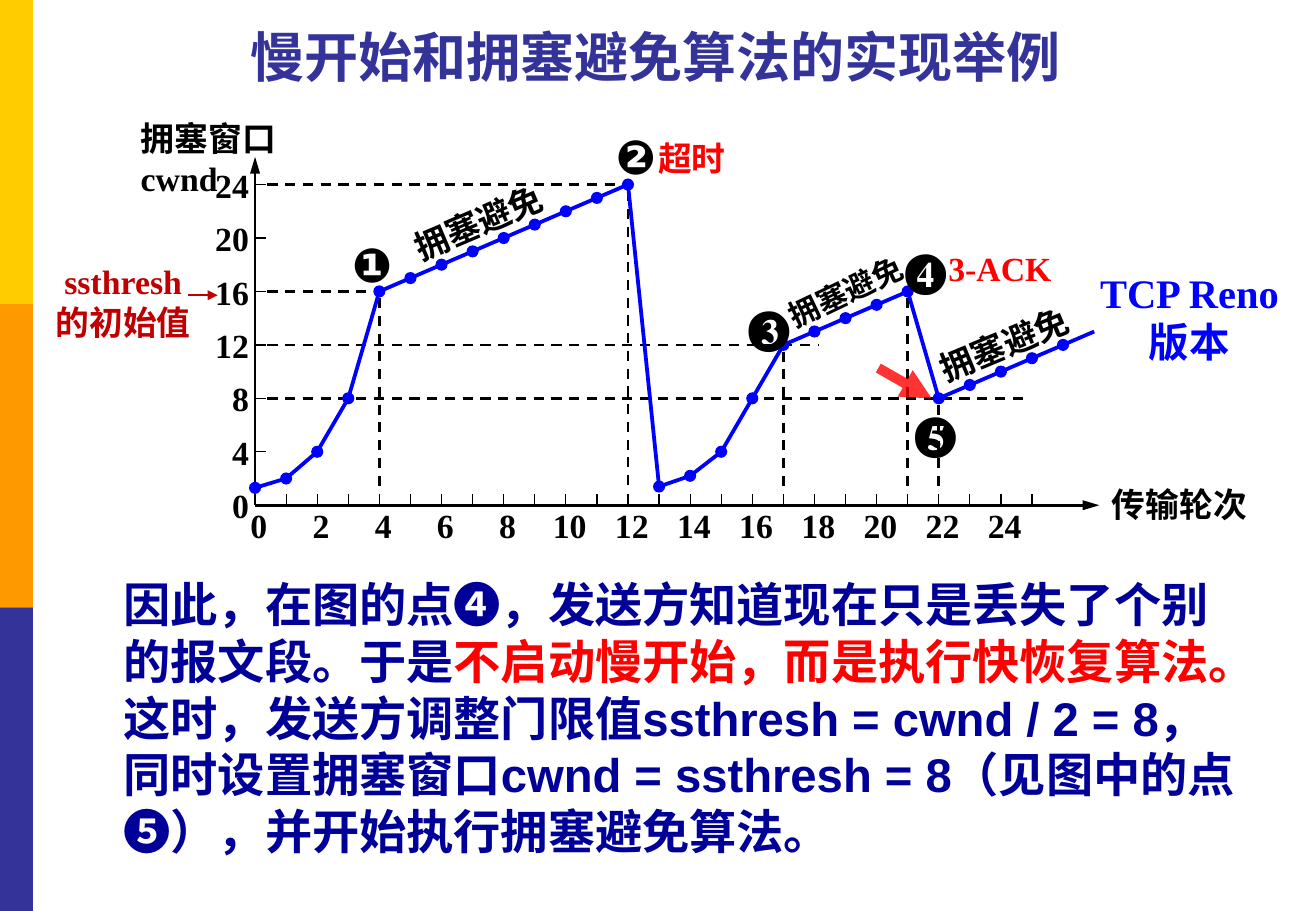
"""Build the slide on slow start and congestion avoidance with its cwnd diagram."""
from dataclasses import dataclass

import lxml.etree
import pptx
import pptx.dml.color
import pptx.enum.dml
import pptx.enum.shapes
import pptx.enum.text
import pptx.oxml.ns
import pptx.util

Pt = pptx.util.Pt
RGBColor = pptx.dml.color.RGBColor
ALIGN = pptx.enum.text.PP_ALIGN
SHAPE = pptx.enum.shapes.MSO_SHAPE
qn = pptx.oxml.ns.qn

BLACK = RGBColor(0x00, 0x00, 0x00)
RED = RGBColor(0xFF, 0x00, 0x00)
DARK_RED = RGBColor(0xC0, 0x00, 0x00)
BLUE = RGBColor(0x00, 0x00, 0xFF)
NAVY = RGBColor(0x00, 0x00, 0x99)
INDIGO = RGBColor(0x33, 0x33, 0x99)
YELLOW = RGBColor(0xFF, 0xCC, 0x00)
ORANGE = RGBColor(0xFF, 0x99, 0x00)
SERIF = "Times New Roman"
SANS = "Arial"

ORIGIN_X, ORIGIN_Y = 151.2, 299.5
ROUND_STEP, CWND_STEP = 18.42, 7.92
TICK, DOT = 6.5, 7.2
CWND = [1.3, 2, 4, 8, *range(16, 25), 1.4, 2.2, 4, 8, *range(12, 17), *range(8, 14)]
PHASES = [(0, 1, 2, 3, 4, 12), (12, 13), (13, 14, 15, 16, 17, 21), (21, 22), (22, 27)]
LEVEL_ENDS = {24: 12, 16: 4, 12: 18.1, 8: 24.8}
DROP_ROUNDS = (4, 12, 17, 21, 22)


@dataclass
class Label:
    lines: tuple[str, ...]
    left: float
    top: float
    width: float
    height: float = 32
    size: float = 20
    color: RGBColor = BLACK
    font: str = SERIF
    align: ALIGN = ALIGN.LEFT
    rotation: float = 0


@dataclass
class Stroke:
    start: tuple[float, float]
    end: tuple[float, float]
    color: RGBColor = BLACK
    width: float = 1.5
    dashed: bool = False
    head_length: str = ""
    opacity: int = 100


def plot(round_no: float, cwnd: float) -> tuple[float, float]:
    """Return the slide position of a point of the diagram."""
    return ORIGIN_X + round_no * ROUND_STEP, ORIGIN_Y - cwnd * CWND_STEP


def add_run(paragraph, text: str, size: float, color: RGBColor, font: str) -> None:
    """Append one bold run."""
    run = paragraph.add_run()
    run.text = text
    run.font.size, run.font.bold, run.font.name = Pt(size), True, font
    run.font.color.rgb = color


def draw_label(shapes, label: Label) -> None:
    """Draw a text box with one paragraph per line."""
    box = shapes.add_textbox(Pt(label.left), Pt(label.top), Pt(label.width), Pt(label.height))
    box.rotation = label.rotation
    frame = box.text_frame
    frame.word_wrap = False
    for index, line in enumerate(label.lines):
        paragraph = frame.add_paragraph() if index else frame.paragraphs[0]
        paragraph.alignment = label.align
        add_run(paragraph, line, label.size, label.color, label.font)


def draw_stroke(shapes, stroke: Stroke) -> None:
    """Draw a straight line, dashed or with an arrowhead if asked."""
    ends = [Pt(value) for value in (*stroke.start, *stroke.end)]
    connector = shapes.add_connector(pptx.enum.shapes.MSO_CONNECTOR.STRAIGHT, *ends)
    line = connector.line
    line.color.rgb, line.width = stroke.color, Pt(stroke.width)
    properties = connector.element.spPr
    if stroke.dashed:
        line.dash_style = pptx.enum.dml.MSO_LINE.DASH
    if stroke.opacity < 100:
        color = properties.find(".//" + qn("a:srgbClr"))
        lxml.etree.SubElement(color, qn("a:alpha"), val=str(stroke.opacity * 1000))
    if stroke.head_length:
        outline = properties.find(qn("a:ln"))
        lxml.etree.SubElement(outline, qn("a:tailEnd"), type="triangle", len=stroke.head_length)
    lxml.etree.SubElement(properties, qn("a:effectLst"))


def draw_curve(shapes, points: list[tuple[float, float]]) -> None:
    """Draw an open blue line through several points."""
    first, *rest = [(Pt(x), Pt(y)) for x, y in points]
    builder = shapes.build_freeform(*first)
    builder.add_line_segments(rest, close=False)
    curve = builder.convert_to_shape()
    curve.shadow.inherit = False
    curve.fill.background()
    curve.line.color.rgb, curve.line.width = BLUE, Pt(2.25)


def draw_solid(shapes, kind: SHAPE, left: float, top: float,
               width: float, height: float, color: RGBColor) -> None:
    """Draw a filled shape without an outline."""
    solid = shapes.add_shape(kind, Pt(left), Pt(top), Pt(width), Pt(height))
    solid.shadow.inherit = False
    solid.fill.solid()
    solid.fill.fore_color.rgb = color
    solid.line.fill.background()


def place(placeholder, left: float, top: float, width: float, height: float):
    """Move a placeholder and return its first paragraph."""
    placeholder.left, placeholder.top = Pt(left), Pt(top)
    placeholder.width, placeholder.height = Pt(width), Pt(height)
    placeholder.text_frame.auto_size = pptx.enum.text.MSO_AUTO_SIZE.NONE
    return placeholder.text_frame.paragraphs[0]


presentation = pptx.Presentation()
presentation.slide_width, presentation.slide_height = Pt(780), Pt(540)
slide = presentation.slides.add_slide(presentation.slide_layouts[1])
shapes = slide.shapes

for position, color in enumerate((YELLOW, ORANGE, INDIGO)):
    draw_solid(shapes, SHAPE.RECTANGLE, 0, position * 180, 19.5, 180, color)

title = place(shapes.title, 29, 12, 720, 42)
title.alignment = ALIGN.CENTER
add_run(title, "慢开始和拥塞避免算法的实现举例", 32, INDIGO, "Roboto")

explanation = place(slide.placeholders[1], 66, 337.5, 682, 177)
explanation.space_before = Pt(0)
indents = explanation._p.get_or_add_pPr()
indents.set("marL", "0")
indents.set("indent", "0")
lxml.etree.SubElement(indents, qn("a:buNone"))
for text, color in (
    ("因此，在图的点❹，发送方知道现在只是丢失了个别的报文段。于是", NAVY),
    ("不启动慢开始，而是执行快恢复算法。", RED),
    ("这时，发送方调整门限值ssthresh = cwnd / 2 = 8，同时设置拥塞窗口cwnd = ssthresh = 8"
     "（见图中的点❺），并开始执行拥塞避免算法。", NAVY),
):
    add_run(explanation, text, 28, color, SANS)

strokes = [
    Stroke(plot(0, 0), (651.6, ORIGIN_Y), head_length="lg"),
    Stroke(plot(0, 0), (ORIGIN_X, 93), head_length="lg"),
    Stroke((111.6, 175), (129, 175), DARK_RED, head_length="med"),
]
labels = []
for round_no in range(1, 26):
    x, y = plot(round_no, 0)
    strokes.append(Stroke((x, y), (x, y - TICK), width=0.75))
for round_no in range(0, 25, 2):
    x, _ = plot(round_no, 0)
    labels.append(Label((str(round_no),), x - 15, 295.5, 34.5, align=ALIGN.CENTER))
for cwnd in range(0, 25, 4):
    x, y = plot(0, cwnd)
    strokes.append(Stroke((x, y), (x + TICK, y), width=0.75))
    labels.append(Label((str(cwnd),), x - 31, y - 15.5, 34.5, align=ALIGN.RIGHT))
strokes += [Stroke(plot(0.4, cwnd), plot(end, cwnd), dashed=True)
            for cwnd, end in LEVEL_ENDS.items()]
strokes += [Stroke(plot(r, CWND[r] - 0.5), plot(r, 1), dashed=True) for r in DROP_ROUNDS]
for stroke in strokes:
    draw_stroke(shapes, stroke)

for phase in PHASES:
    points = [plot(r, CWND[r]) for r in phase]
    if len(points) == 2:
        draw_stroke(shapes, Stroke(*points, BLUE, 2.25))
    else:
        draw_curve(shapes, points)
for round_no, cwnd in enumerate(CWND[:-1]):
    x, y = plot(round_no, cwnd)
    draw_solid(shapes, SHAPE.OVAL, x - DOT / 2, y - DOT / 2, DOT, DOT, BLUE)

avoidance = ("拥塞避免",)
labels += [
    Label(("拥塞窗口", "cwnd"), 76.3, 66.2, 96, 57),
    Label(("传输轮次",), 652, 283, 96),
    Label(("超时",), 383, 77.8, 55, color=RED),
    Label(("3-ACK",), 555, 143.3, 80, color=RED),
    Label(("TCP Reno", "版本"), 640.5, 155.5, 129, 65.5, 24, BLUE, align=ALIGN.CENTER),
    Label(("ssthresh", "的初始值"), 22.5, 151.2, 101, 55.5, color=DARK_RED, align=ALIGN.CENTER),
    Label(avoidance, 235.4, 116, 96, align=ALIGN.CENTER, rotation=336.8),
    Label(avoidance, 457.2, 158.4, 88, 29, 18, align=ALIGN.CENTER, rotation=334.5),
    Label(avoidance, 547.2, 188.6, 96, align=ALIGN.CENTER, rotation=337.4),
    Label(("❶",), 201.6, 136, 35, 41, 28, font=SANS),
    Label(("❷",), 358, 72, 35, 41, 28, font=SANS),
    Label(("❸",), 436.3, 172.8, 39.6, 41, 28),
    Label(("❹",), 529.2, 139, 39.6, 41, 28),
    Label(("❺",), 535, 235.4, 39.6, 41, 28),
]
for label in labels:
    draw_label(shapes, label)
draw_stroke(shapes, Stroke((520.6, 218.2), (552.2, 236.2), RED, 6, head_length="med", opacity=80))

presentation.save("out.pptx")
